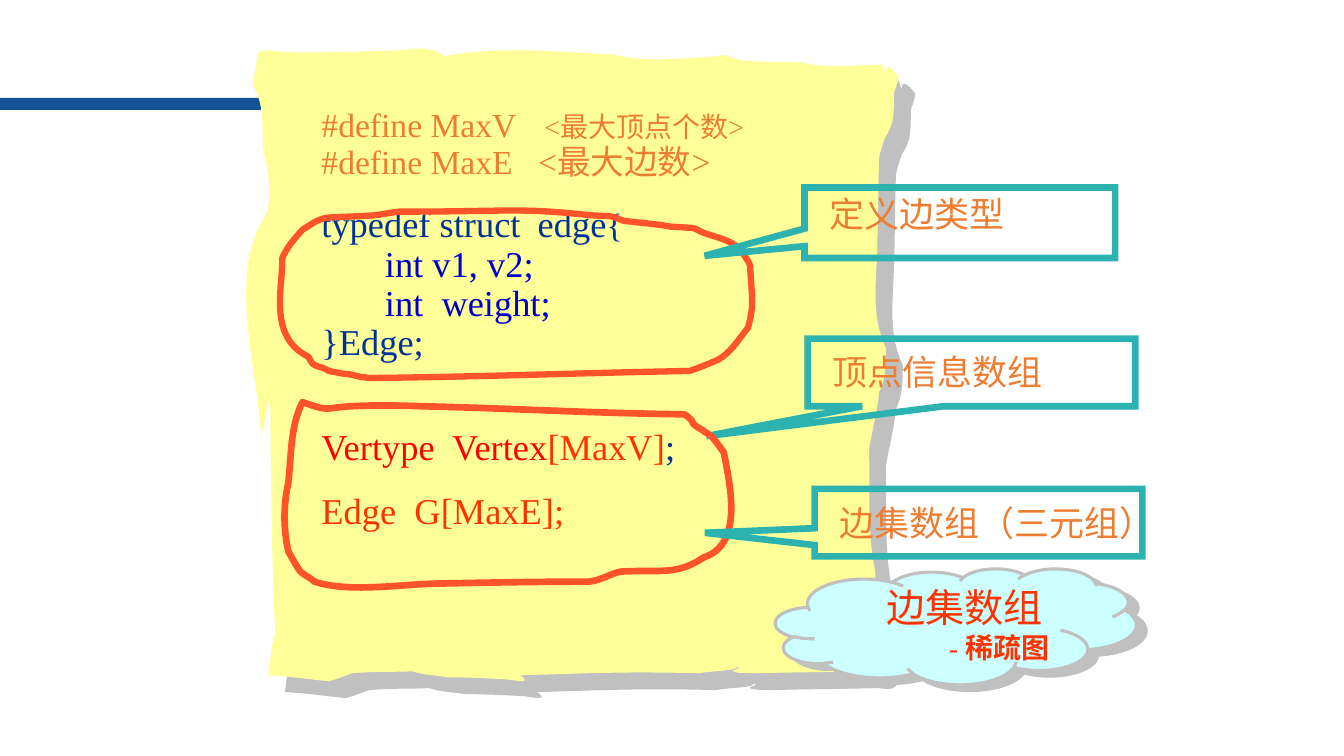
from lxml import etree
from pptx import Presentation
from pptx.dml.color import RGBColor
from pptx.enum.shapes import MSO_CONNECTOR, MSO_SHAPE
from pptx.enum.text import PP_ALIGN
from pptx.oxml.ns import qn
from pptx.util import Emu, Inches, Pt

BAR, CLOUD, CALLOUT = MSO_SHAPE.RECTANGLE, MSO_SHAPE.CLOUD, MSO_SHAPE.RECTANGULAR_CALLOUT
STRAIGHT = MSO_CONNECTOR.STRAIGHT
LEFT, CENTER = PP_ALIGN.LEFT, PP_ALIGN.CENTER
GRID = Inches(0.01)  # one column or row; the slide has 1333 columns and 750 rows
COLS, ROWS = 1333, 750
FACE = "Times New Roman"
COLORS = {
    "bar": "145396", "paper": "FFFF99", "shade": "C0C0C0", "loop": "FF532B",
    "frame": "2CB3B0", "cloud": "CCFFFF", "orange": "ED7D31", "navy": "003399",
    "blue": "0000CC", "red": "FF0000", "scarlet": "FF3300",
}

# Outlines in grid units: a start point, then two handles and an end for each curve.
PAPER = [
    255, 52, 283, 47, 250, 52, 304, 52, 335, 52, 365, 51, 396, 50, 412, 49, 427, 44, 440, 56,
    493, 45, 555, 52, 609, 54, 636, 63, 689, 57, 710, 56, 721, 52, 726, 59, 737, 60,
    756, 62, 775, 61, 794, 62, 824, 68, 837, 65, 875, 64, 882, 88, 870, 50, 891, 76,
    892, 77, 888, 89, 887, 91, 886, 113, 888, 121, 878, 136, 873, 151, 875, 144, 872, 156,
    871, 187, 871, 218, 870, 248, 869, 283, 864, 315, 879, 346, 878, 362, 879, 375, 872, 389,
    870, 409, 865, 427, 862, 446, 863, 479, 860, 532, 868, 566, 869, 590, 870, 611, 875, 635,
    874, 644, 878, 656, 872, 664, 868, 669, 859, 666, 853, 666, 818, 667, 783, 667, 748, 668,
    741, 667, 734, 669, 727, 666, 725, 665, 733, 664, 733, 662, 733, 660, 729, 664, 727, 664,
    716, 666, 704, 666, 693, 668, 621, 666, 584, 668, 516, 670, 531, 680, 506, 674, 502, 674,
    483, 673, 464, 672, 445, 672, 433, 670, 421, 670, 409, 666, 389, 667, 370, 666, 350, 668,
    348, 668, 336, 673, 333, 674, 331, 674, 327, 676, 327, 676, 306, 674, 288, 671, 266, 670,
    279, 559, 271, 750, 268, 395, 264, 407, 262, 420, 259, 433, 255, 362, 225, 271, 264, 213,
    272, 190, 264, 167, 261, 144, 260, 124, 262, 103, 251, 85, 255, 53, 255, 65, 255, 52,
]
EDGE_LOOP = [
    396, 210, 386, 211, 374, 214, 364, 214, 350, 215, 337, 215, 324, 216,
    314, 218, 308, 223, 300, 228, 291, 238, 285, 245, 280, 256, 281, 284, 265, 334, 306, 354,
    308, 357, 309, 362, 314, 363, 316, 364, 318, 364, 320, 365, 322, 365, 324, 367, 326, 368,
    331, 369, 336, 370, 342, 371, 344, 371, 347, 371, 350, 372, 352, 373, 355, 373, 358, 374,
    360, 374, 366, 375, 366, 375, 472, 374, 577, 370, 684, 368, 693, 365, 703, 361, 712, 357,
    725, 350, 733, 336, 742, 325, 748, 302, 746, 299, 744, 264, 744, 261, 739, 255, 738, 253,
    730, 239, 715, 237, 698, 231, 692, 229, 692, 227, 686, 226, 679, 226, 673, 225, 666, 225,
    650, 222, 634, 221, 618, 219, 601, 212, 613, 216, 580, 213, 513, 206, 505, 210, 396, 210,
]
ARRAY_LOOP = [
    300, 399, 342, 413, 300, 399, 418, 403, 506, 405, 589, 410, 678, 411,
    680, 412, 683, 413, 684, 415, 686, 416, 687, 419, 688, 421, 692, 424, 696, 426, 700, 429,
    702, 430, 706, 433, 706, 433, 710, 438, 714, 443, 718, 449, 724, 481, 738, 540, 698, 553,
    671, 571, 656, 565, 616, 567, 605, 569, 596, 576, 584, 577, 533, 577, 482, 578, 430, 579,
    395, 580, 345, 588, 312, 577, 308, 573, 302, 571, 298, 567, 293, 560, 290, 554, 286, 547,
    281, 524, 281, 502, 286, 479, 289, 452, 288, 423, 300, 399,
]


def rgb(key):
    return RGBColor.from_string(COLORS[key])


def paint(shape, fill=None, line=None, width=1):
    shape.shadow.inherit = False
    if fill:
        shape.fill.solid()
        shape.fill.fore_color.rgb = rgb(fill)
    else:
        shape.fill.background()
    if line:
        shape.line.color.rgb = rgb(line)
        shape.line.width = Pt(width)
    else:
        shape.line.fill.background()


def shade(shape, gap, angle):
    """Give the shape a hard grey shadow."""
    effects = shape.element.spPr.find(qn("a:effectLst"))
    drop = etree.SubElement(effects, qn("a:outerShdw"), dist=str(Pt(gap)),
                            dir=str(angle * 60000), algn="ctr", rotWithShape="0")
    etree.SubElement(drop, qn("a:srgbClr"), val=COLORS["shade"])


def bend(shape):
    """Turn each three line segments of a freeform into one cubic curve."""
    segs = list(shape.element.iter(qn("a:lnTo")))
    for i in range(0, len(segs), 3):
        curve = etree.Element(qn("a:cubicBezTo"))
        segs[i].addprevious(curve)
        for seg in segs[i:i + 3]:
            curve.append(seg[0])
            seg.getparent().remove(seg)


def outline(slide, nums, **style):
    points = list(zip(nums[::2], nums[1::2]))
    pen = slide.shapes.build_freeform(*points[0], scale=GRID)
    pen.add_line_segments(points[1:], close=True)
    shape = pen.convert_to_shape()
    bend(shape)
    paint(shape, **style)
    return shape


def preset(slide, kind, box, **style):
    shape = slide.shapes.add_shape(kind, *(n * GRID for n in box))
    paint(shape, **style)
    return shape


def rule(slide, ends, color, width):
    line = slide.shapes.add_connector(STRAIGHT, *(n * GRID for n in ends))
    line.line.color.rgb = rgb(color)
    line.line.width = Pt(width)
    etree.SubElement(line.element.spPr, qn("a:effectLst"))


def write(para, runs, size, color, align=LEFT, indent=0, tab=0, before=0, lines=1.0):
    """Fill a paragraph; each run is its text and the font settings that differ."""
    props = para._p.get_or_add_pPr()
    if indent:
        props.set("marL", str(indent * GRID))
        props.set("indent", "0")
    if tab:
        stops = etree.SubElement(props, qn("a:tabLst"))
        etree.SubElement(stops, qn("a:tab"), pos=str(tab * GRID), algn="l")
    para.alignment = align
    para.line_spacing = lines
    para.space_before = Pt(before)
    para.font.name = FACE
    para.font.size = Pt(size)
    para.font.color.rgb = rgb(color)
    for text, *extra in runs:
        run = para.add_run()
        run.text = text
        for item in extra:
            if item == "bold":
                run.font.bold = True
            elif item in COLORS:
                run.font.color.rgb = rgb(item)
            else:
                run.font.size = Pt(item)


def label(slide, box, paras):
    frame = slide.shapes.add_textbox(*(n * GRID for n in box)).text_frame
    frame.word_wrap = True
    for i, para in enumerate(paras):
        write(frame.add_paragraph() if i else frame.paragraphs[0], **para)


def callout(slide, box, tip, text, drop, width):
    """Draw a framed callout with its label set `drop` rows below the top."""
    shape = preset(slide, CALLOUT, box, line="frame", width=4.75)
    shape.adjustments[0], shape.adjustments[1] = tip
    etree.SubElement(shape.line._get_or_add_ln(), qn("a:miter"), lim="800000")
    label(slide, (box[0] + 15, box[1] + drop, width, 52),
          [dict(runs=[(text,)], size=25, color="orange")])


def code(slide):
    rows = [
        dict(runs=[("#define MaxV\t",), ("<最大顶点个数>", 20)], size=24, color="orange", tab=221),
        dict(runs=[("#define MaxE\t<最大边数>",)], size=24, color="orange", tab=215),
        dict(runs=[("typedef struct",), ("  ", 24), ("edge",), ("{", 24)],
             size=26, color="navy", before=18),
        dict(runs=[("int v1, v2;",)], size=26, color="blue", indent=63),
        dict(runs=[("int  weight;",)], size=26, color="blue", indent=63),
        dict(runs=[("}Edge;",)], size=26, color="navy"),
        dict(runs=[("Vertype  Vertex",), ("[MaxV]", "scarlet"), (";", "navy")],
             size=26, color="red", before=46.5),
        dict(runs=[("Edge  G[MaxE];",)], size=26, color="scarlet", before=18),
    ]
    label(slide, (309, 103, 583, 450), [dict(row, lines=0.9) for row in rows])


def main():
    deck = Presentation()
    deck.slide_width, deck.slide_height = Emu(COLS * GRID), Emu(ROWS * GRID)
    slide = deck.slides.add_slide(deck.slide_layouts[6])

    preset(slide, BAR, (0, 97, 372, 12), fill="bar")
    rule(slide, (368, 102, 662, 102), "bar", 2.25)
    shade(outline(slide, PAPER, fill="paper"), 17, 45)
    code(slide)

    outline(slide, EDGE_LOOP, line="loop", width=4.5)
    callout(slide, (798, 186, 308, 70), (-0.822, 0.469), "定义边类型", 0, 273)
    callout(slide, (801, 336, 325, 67), (-0.809, 0.944), "顶点信息数组", 7, 240)
    outline(slide, ARRAY_LOOP, line="loop", width=4.75)

    cloud = preset(slide, CLOUD, (769, 564, 358, 115), fill="cloud", line="shade", width=2.25)
    shade(cloud, 8.1, 30)
    label(slide, (802, 574, 309, 91), [
        dict(runs=[("边集数组",)], size=28, color="scarlet", align=CENTER),
        dict(runs=[("- ",), ("稀疏图", "bold")], size=20, color="scarlet",
             align=CENTER, indent=69),
    ])
    callout(slide, (808, 485, 325, 67), (-0.835, 0.151), "边集数组（三元组）", 8, 340)
    deck.save("out.pptx")


if __name__ == "__main__":
    main()
